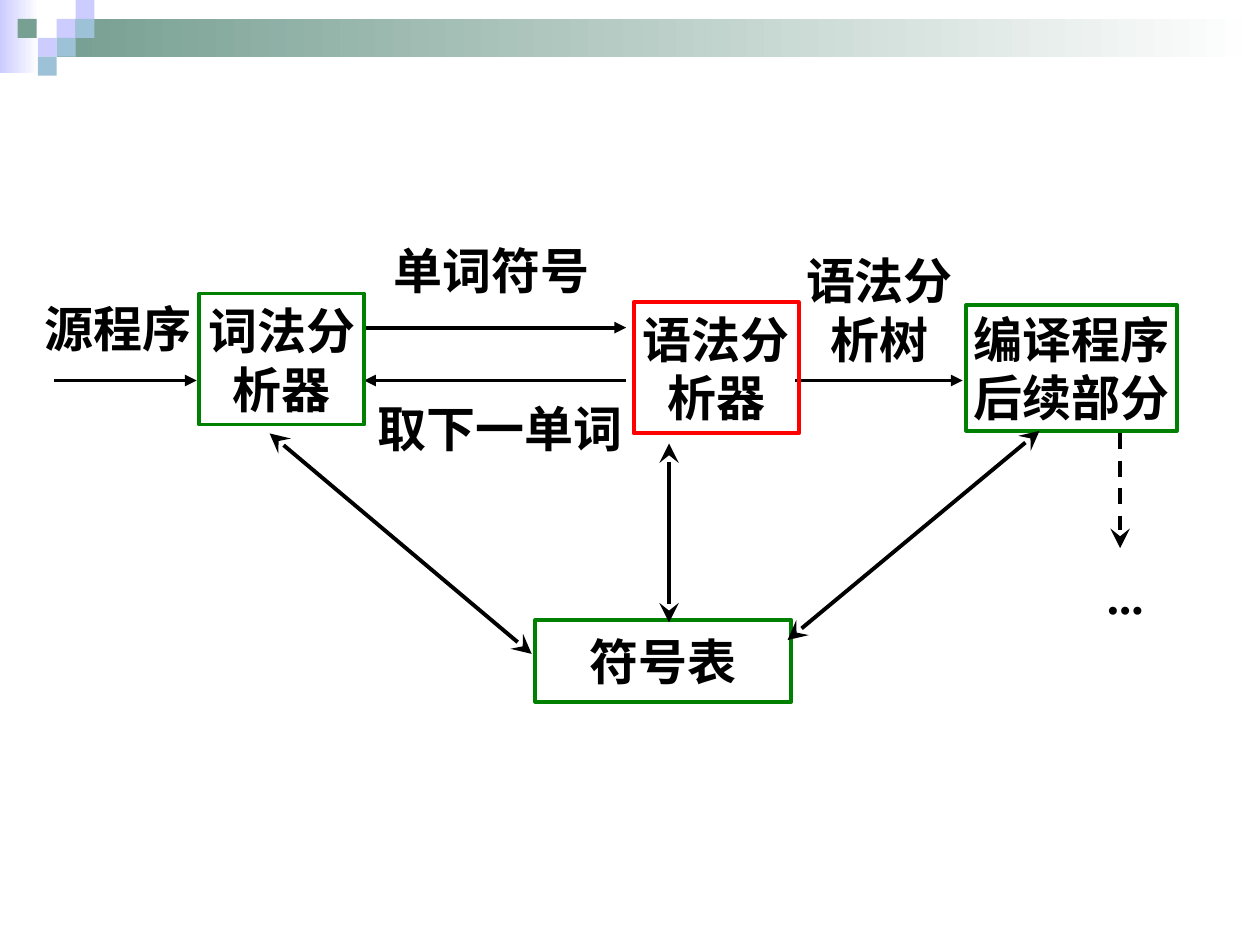
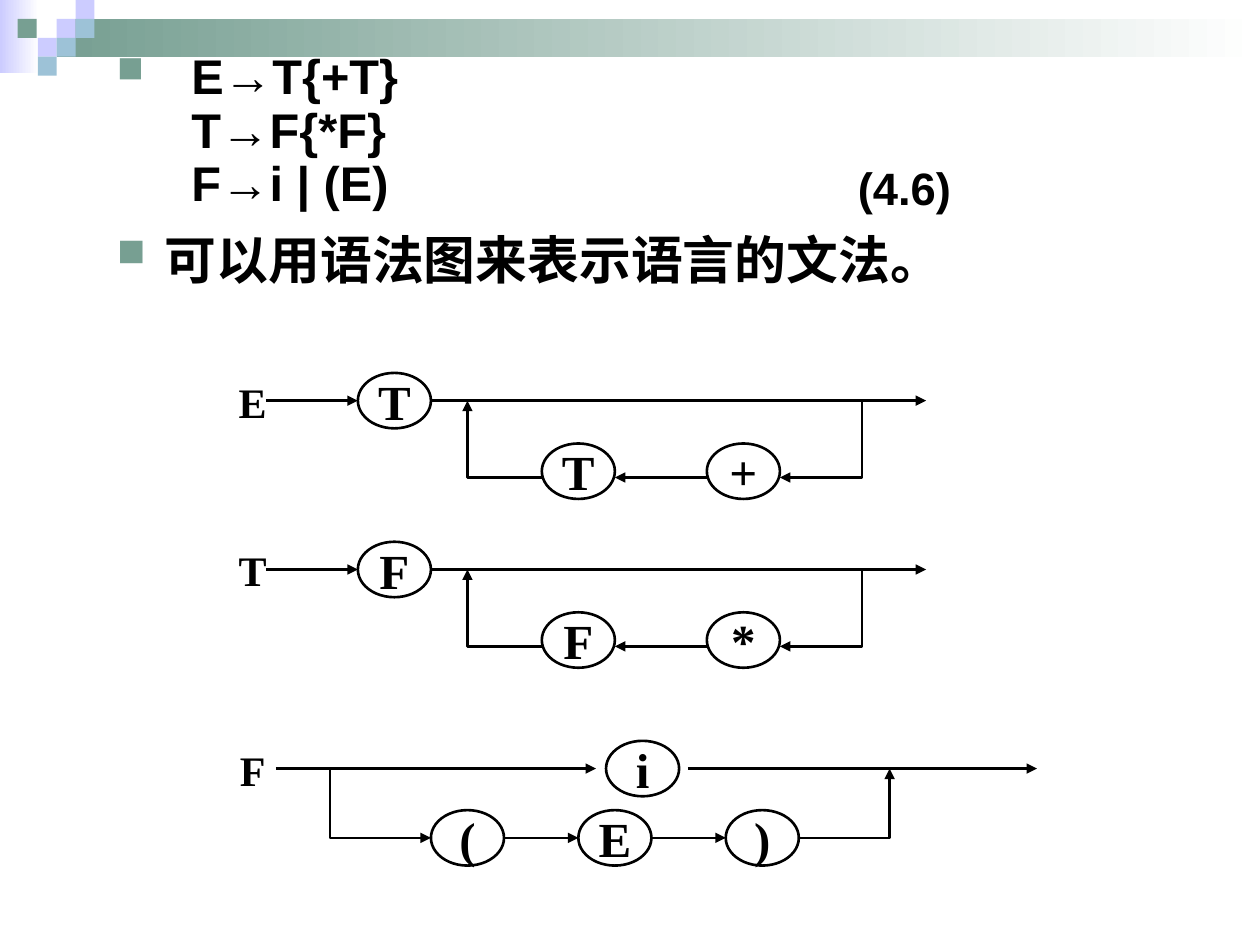
from lxml import etree
from pptx import Presentation
from pptx.dml.color import RGBColor
from pptx.enum.dml import MSO_LINE
from pptx.enum.shapes import MSO_CONNECTOR, MSO_SHAPE
from pptx.enum.text import MSO_ANCHOR, PP_ALIGN
from pptx.oxml.ns import qn
from pptx.util import Inches, Pt

BLACK = RGBColor(0x00, 0x00, 0x00)
WHITE = RGBColor(0xFF, 0xFF, 0xFF)
GREEN = RGBColor(0x00, 0x80, 0x00)
RED = RGBColor(0xFF, 0x00, 0x00)
LAVENDER = RGBColor(0xCC, 0xCC, 0xFF)
SAGE = RGBColor(0x77, 0x9F, 0x92)
SKY = RGBColor(0x9D, 0xC2, 0xD7)

SERIF = "Times New Roman"
SANS = "Arial"
TILE = 0.15
NODE_W, NODE_H = 0.58, 0.44
BRANCH_STEP = 1.17
FLOW_WIDTH, DIAGRAM_WIDTH = 2.25, 1.5


# Shared elements

def add_preset(slide, preset, x, y, w, h):
    shape = slide.shapes.add_shape(preset, Inches(x), Inches(y), Inches(w), Inches(h))
    shape.shadow.inherit = False
    return shape


def add_tile(slide, x, y, color, w=TILE, h=TILE, fade=False):
    tile = add_preset(slide, MSO_SHAPE.RECTANGLE, x, y, w, h)
    tile.line.fill.background()
    if fade:
        tile.fill.gradient()
        tile.fill.gradient_angle = 0
        for stop, stop_color in zip(tile.fill.gradient_stops, (color, WHITE)):
            stop.color.rgb = stop_color
    else:
        tile.fill.solid()
        tile.fill.fore_color.rgb = color


def add_header_band(slide):
    add_tile(slide, 0, 0, LAVENDER, 0.31, 0.58, fade=True)
    add_tile(slide, 0.45, TILE, SAGE, 9.55, 0.3, fade=True)
    for x, y, color in [(0.45, 0.15, LAVENDER), (0.6, 0, LAVENDER), (0.6, 0.15, SKY),
                        (0.3, 0.3, LAVENDER), (0.14, 0.15, SAGE), (0.45, 0.3, SKY),
                        (0.3, 0.45, SKY)]:
        add_tile(slide, x, y, color)


def write_centered(shape, lines, size=28, anchor=MSO_ANCHOR.MIDDLE):
    frame = shape.text_frame
    frame.word_wrap = False
    frame.vertical_anchor = anchor
    frame.text = "\n".join(lines)
    for paragraph in frame.paragraphs:
        paragraph.alignment = PP_ALIGN.CENTER
        font = paragraph.font
        font.name, font.size, font.bold = SERIF, Pt(size), True
        font.color.rgb = BLACK


def add_label(slide, x, y, w, h, *lines, size=28, anchor=MSO_ANCHOR.MIDDLE):
    label = slide.shapes.add_textbox(Inches(x), Inches(y), Inches(w), Inches(h))
    label.text_frame.margin_left = label.text_frame.margin_right = 0
    write_centered(label, lines, size, anchor)


def add_outlined(slide, preset, x, y, w, h, lines, color, width):
    outlined = add_preset(slide, preset, x, y, w, h)
    outlined.fill.background()
    outlined.line.color.rgb = color
    outlined.line.width = Pt(width)
    write_centered(outlined, lines)


def style_arrow(arrow, width, head, both_ends=False):
    arrow.line.color.rgb = BLACK
    arrow.line.width = Pt(width)
    line = arrow.line._get_or_add_ln()
    scale = "lg" if head == "stealth" else "med"
    for tag in ("a:headEnd", "a:tailEnd") if both_ends else ("a:tailEnd",):
        etree.SubElement(line, qn(tag), type=head, w=scale, len=scale)


def add_arrow(slide, start, end, width, head="triangle", both_ends=False, dashed=False):
    arrow = slide.shapes.add_connector(
        MSO_CONNECTOR.STRAIGHT, *[Inches(v) for v in (*start, *end)])
    if dashed:
        arrow.line.dash_style = MSO_LINE.DASH
    style_arrow(arrow, width, head, both_ends)
    etree.SubElement(arrow._element.spPr, qn("a:effectLst"))


# Compiler structure

def add_stage(slide, x, y, w, h, *lines, color=GREEN):
    add_outlined(slide, MSO_SHAPE.RECTANGLE, x, y, w, h, lines, color, FLOW_WIDTH)


def build_compiler_flow(slide):
    # Data passed between the stages
    add_label(slide, 0.31, 2.27, 1.25, 0.67, "源程序")
    add_label(slide, 3, 1.77, 1.8, 0.75, "单词符号")
    add_label(slide, 2.91, 3.02, 2.12, 0.75, "取下一单词")
    add_label(slide, 8.47, 4.35, 0.92, 0.75, "...")
    add_label(slide, 6.3, 1.94, 1.36, 1.04, "语法分", "析树", anchor=MSO_ANCHOR.TOP)
    for x1, x2, y in [(0.43, 1.56, 3.02), (2.89, 4.97, 2.6),
                      (4.97, 2.89, 3.02), (6.31, 7.64, 3.02)]:
        add_arrow(slide, (x1, y), (x2, y), FLOW_WIDTH)

    # Stages and symbol table
    add_stage(slide, 1.58, 2.33, 1.31, 1.04, "词法分", "析器")
    add_stage(slide, 5.03, 2.4, 1.31, 1.04, "语法分", "析器", color=RED)
    add_stage(slide, 4.25, 4.92, 2.03, 0.65, "符号表")
    add_stage(slide, 7.67, 2.42, 1.67, 1, "编译程序", "后续部分")

    # Table access and later output
    for stage_end, table_end in [((2.14, 3.44), (4.22, 5.19)),
                                 ((5.31, 3.52), (5.31, 4.94)),
                                 ((8.25, 3.42), (6.25, 5.08))]:
        add_arrow(slide, stage_end, table_end, FLOW_WIDTH, "stealth", both_ends=True)
    add_arrow(slide, (8.89, 3.44), (8.89, 4.35), FLOW_WIDTH, "stealth", dashed=True)


# Grammar and syntax diagrams

def format_rule(paragraph, indent, size, bullet=False, space_before=0):
    props = paragraph._p.get_or_add_pPr()
    props.set("marL", str(Inches(indent)))
    props.set("indent", str(-Inches(indent) if bullet else 0))
    if bullet:
        color = etree.SubElement(props, qn("a:buClr"))
        etree.SubElement(color, qn("a:srgbClr"), val=str(SAGE))
        etree.SubElement(props, qn("a:buSzPct"), val="75000")
        etree.SubElement(props, qn("a:buFont"), typeface="Wingdings", charset="2")
        etree.SubElement(props, qn("a:buChar"), char="n")
    paragraph.line_spacing = 0.7
    if space_before:
        paragraph.space_before = Pt(space_before)
    font = paragraph.font
    font.name, font.size, font.bold = SANS, Pt(size), True
    font.color.rgb = BLACK


def add_text_block(slide, x, y, w, h, text):
    block = slide.shapes.add_textbox(Inches(x), Inches(y), Inches(w), Inches(h))
    block.text_frame.word_wrap = True
    block.text_frame.text = text
    return block.text_frame.paragraphs


def add_grammar(slide):
    rule_e, rule_t, rule_f, remark = add_text_block(
        slide, 0.83, 0.44, 8.67, 2,
        "E→T{+T}\nT→F{*F}\nF→i | (E)\n可以用语法图来表示语言的文法。")
    format_rule(rule_e, 0.59, 27.8, bullet=True)
    format_rule(rule_t, 0.59, 27.8, space_before=7.5)
    format_rule(rule_f, 0.59, 27.8, space_before=7)
    format_rule(remark, 0.38, 29.6, bullet=True, space_before=20)
    number, = add_text_block(slide, 6.71, 1.34, 1.2, 0.4, "(4.6)")
    format_rule(number, 0, 25.9)


def add_node(slide, x, y, symbol):
    add_outlined(slide, MSO_SHAPE.OVAL, x, y, NODE_W, NODE_H, [symbol],
                 BLACK, DIAGRAM_WIDTH)


def add_rail(slide, x1, x2, y):
    add_arrow(slide, (x1, y), (x2, y), DIAGRAM_WIDTH)


def add_bent_arrow(slide, start, corner, end):
    points = [(Inches(x), Inches(y)) for x, y in (start, corner, end)]
    builder = slide.shapes.build_freeform(*points[0])
    builder.add_line_segments(points[1:], close=False)
    bend = builder.convert_to_shape()
    bend.shadow.inherit = False
    bend.fill.background()
    style_arrow(bend, DIAGRAM_WIDTH, "triangle")


def add_rule_name(slide, rail, name):
    add_label(slide, 1.75, rail - 0.16, 0.51, 0.33, name, size=24)


def add_repeat_diagram(slide, rail, name, operand, operator):
    loop = rail + 0.61
    add_rule_name(slide, rail, name)
    add_node(slide, 2.84, rail - NODE_H / 2, operand)
    for x, symbol in [(4.3, operand), (5.61, operator)]:
        add_node(slide, x, rail + 0.34, symbol)
    add_rail(slide, 2.11, 2.84, rail)
    add_rail(slide, 3.42, 7.35, rail)
    add_rail(slide, 5.61, 4.88, loop)
    add_bent_arrow(slide, (6.84, rail), (6.84, loop), (6.19, loop))
    add_bent_arrow(slide, (4.3, loop), (3.71, loop), (3.71, rail))


def add_choice_diagram(slide, rail):
    branch = rail + 0.55
    add_rule_name(slide, rail, "F")
    add_node(slide, 4.81, rail - NODE_H / 2, "i")
    for index, symbol in enumerate("(E)"):
        x = 3.42 + index * BRANCH_STEP
        add_node(slide, x, branch - NODE_H / 2, symbol)
        if index:
            add_rail(slide, x - BRANCH_STEP + NODE_W, x, branch)
    add_rail(slide, 2.19, 4.73, rail)
    add_rail(slide, 5.46, 8.23, rail)
    add_bent_arrow(slide, (2.62, rail), (2.62, branch), (3.42, branch))
    add_bent_arrow(slide, (6.34, branch), (7.06, branch), (7.06, rail))


def build_syntax_diagrams(slide):
    add_grammar(slide)
    add_repeat_diagram(slide, 3.18, "E", "T", "+")
    add_repeat_diagram(slide, 4.52, "T", "F", "*")
    add_choice_diagram(slide, 6.1)


def main():
    deck = Presentation()
    deck.slide_width, deck.slide_height = Inches(10), Inches(7.5)
    for build in (build_compiler_flow, build_syntax_diagrams):
        slide = deck.slides.add_slide(deck.slide_layouts[6])
        add_header_band(slide)
        build(slide)
    deck.save("out.pptx")


if __name__ == "__main__":
    main()
